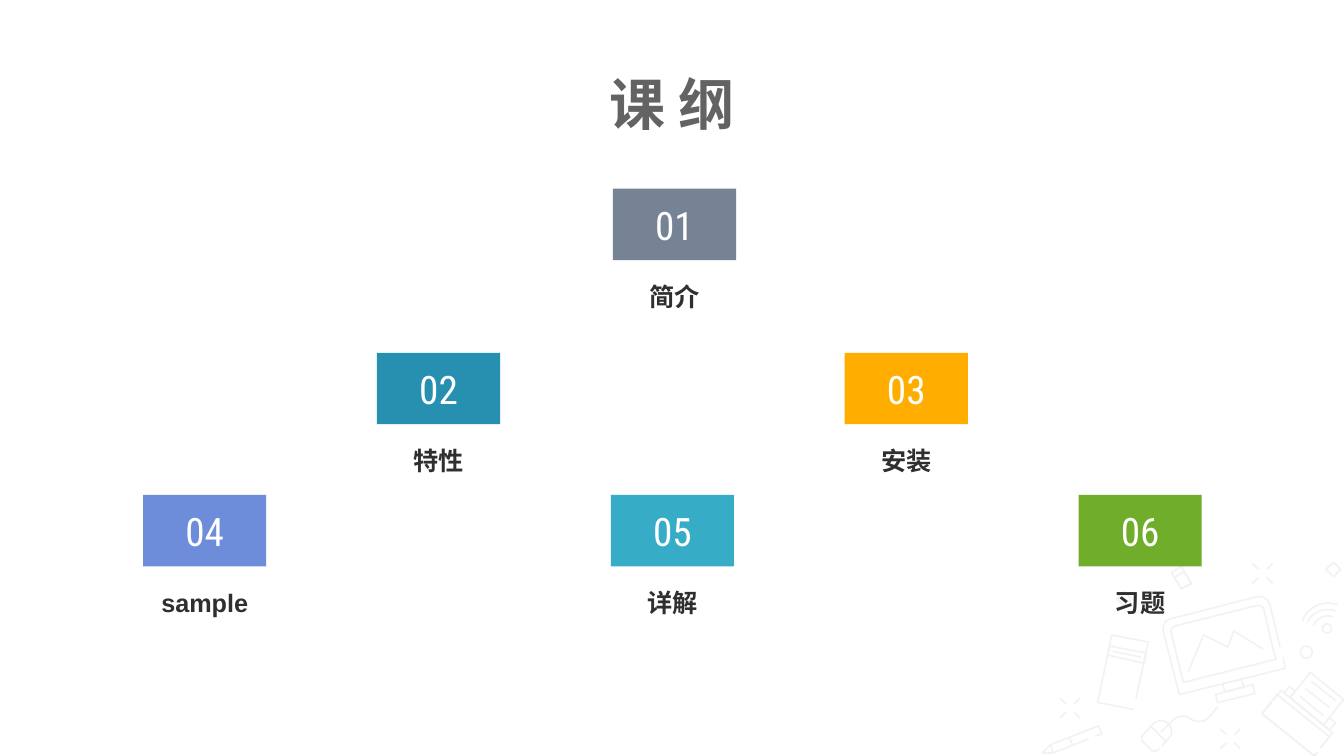
from dataclasses import dataclass

from lxml import etree
from pptx import Presentation, util as u
from pptx.dml import color
from pptx.enum import shapes, text
from pptx.oxml import ns


@dataclass(frozen=True)
class Theme:
    """Colours, fonts and sizes of the slide."""
    title: str = "636363"
    label: str = "2F2F2F"
    number: str = "FFFFFF"
    sketch: str = "F2F2F2"
    body_font: str = "Arial"
    number_font: str = "Roboto Condensed"
    title_size: float = 40
    number_size: float = 28
    label_size: float = 18
    sketch_width: float = 1.13
    sketch_unit: float = 0.72


CARD_WIDTH, CARD_HEIGHT = 88, 51
LABEL_WIDTH, LABEL_HEIGHT, LABEL_DROP = 166.3, 30.2, 61.2
TOP_ROW, MIDDLE_ROW, BOTTOM_ROW = 134.8, 252, 353.5
CARDS = [
    ("01", "简介", 437.8, TOP_ROW, "768394"),
    ("02", "特性", 269.3, MIDDLE_ROW, "278FB0"),
    ("03", "安装", 603.4, MIDDLE_ROW, "FFAE00"),
    ("04", "sample", 102.2, BOTTOM_ROW, "6D8CD9"),
    ("05", "详解", 436.3, BOTTOM_ROW, "36ACC7"),
    ("06", "习题", 770.4, BOTTOM_ROW, "70AD2B"),
]

WIFI = [
    [(1292, 616), (1297, 602, 1313, 595, 1327, 600)],
    [(1297, 618), (1301, 607, 1314, 602, 1325, 606)],
    [(1303, 621), (1306, 613, 1315, 609, 1322, 612)],
]
MOUSE = [
    [(1153, 740), (1159, 733), (1164, 729, 1163, 722, 1159, 718),
     (1155, 714, 1148, 714, 1144, 718), (1134, 729),
     (1132, 731, 1132, 735, 1135, 737), (1141, 743),
     (1143, 746, 1147, 746, 1150, 743)],
    [(1152, 726), (1163, 715), (1168, 710, 1176, 709, 1181, 713),
     (1188, 718, 1196, 716, 1201, 710), (1208, 701)],
    [(1142, 721), (1157, 736)],
]
MONITOR = [
    [(1273, 652), (1275, 663), (1170, 689), (1154, 626),
     (1153, 621, 1156, 615, 1161, 614), (1247, 592),
     (1253, 591, 1258, 594, 1260, 600), (1270, 642)],
    [(1263, 644), (1266, 654), (1174, 677), (1162, 628),
     (1161, 625, 1163, 622, 1166, 621), (1246, 601),
     (1250, 600, 1253, 602, 1254, 605), (1263, 644)],
    [(1179, 666), (1194, 630), (1218, 642), (1224, 626), (1253, 644)],
]
FOLDER = [
    [(1307, 746), (1304, 750), (1252, 708), (1271, 685), (1322, 727), (1310, 742)],
    [(1307, 746), (1304, 750), (1252, 708), (1267, 689), (1319, 731), (1311, 741)],
]
BOOK = [[(1125, 704), (1089, 697), (1103, 630), (1139, 637), (1128, 689), (1127, 693)]]
PENCIL = [
    [(1080, 733), (1045, 747), (1042, 739), (1090, 720), (1093, 728), (1087, 730)],
    [(1042, 739), (1034, 747), (1045, 747)],
]
OPEN_STROKES = WIFI + MOUSE + MONITOR + FOLDER + BOOK + PENCIL
CLOSED_STROKES = [
    [(1245, 688), (1208, 697), (1206, 689), (1243, 679)],
    [(1234, 682), (1215, 686), (1213, 678), (1232, 674)],
    [(1313, 719), (1280, 692), (1300, 667), (1333, 694)],
    [(1280, 692), (1274, 688), (1279, 681), (1285, 686)],
    [(1319, 724), (1313, 719), (1319, 712), (1325, 717)],
    [(1135, 658), (1099, 650), (1101, 641), (1137, 648)],
    [(1115, 601), (1108, 594), (1115, 587), (1123, 594)],
    [(1323, 572), (1315, 565), (1323, 558), (1330, 565)],
    [(1182, 579), (1172, 584), (1162, 568), (1172, 562)],
    [(1182, 579), (1172, 584), (1165, 573), (1175, 567)],
]
PAPER_LINES = [(1301, 676, 1325, 695), (1295, 683, 1319, 702), (1290, 691, 1313, 710)]
DETAIL_LINES = [(1104, 646, 1132, 652), (1061, 732, 1064, 739)]
CIRCLES = [(1290, 641, 12), (1312, 619, 9)]
SPARKS = [(1220.5, 733), (1061.5, 702.5), (1252.5, 569)]
SPARK_INNER, SPARK_OUTER = 4, 10


class SlideBuilder:
    """Draws styled elements on the current slide."""

    def __init__(self, slide, theme):
        """Keep the slide and its theme."""
        self.slide, self.theme = slide, theme

    def sketch(self, value):
        """Turn sketch units into a length."""
        return u.Pt(value * self.theme.sketch_unit)

    def pen(self, line):
        """Give a line the sketch style."""
        line.color.rgb = color.RGBColor.from_string(self.theme.sketch)
        line.width = u.Pt(self.theme.sketch_width)

    def add_words(self, shape, words, size, font, tint, bold, anchor):
        """Put one centred run in a shape."""
        frame = shape.text_frame
        frame.word_wrap = False
        frame.auto_size = text.MSO_AUTO_SIZE.NONE
        frame.vertical_anchor = anchor
        paragraph = frame.paragraphs[0]
        paragraph.alignment = text.PP_ALIGN.CENTER
        run = paragraph.add_run()
        run.text = words
        run.font.size, run.font.name, run.font.bold = u.Pt(size), font, bold
        run.font.color.rgb = color.RGBColor.from_string(tint)

    def title(self, words, left, top, width, height):
        """Place and fill the title."""
        shape = self.slide.shapes.title
        shape.left, shape.top = u.Pt(left), u.Pt(top)
        shape.width, shape.height = u.Pt(width), u.Pt(height)
        self.add_words(shape, words, self.theme.title_size, self.theme.body_font,
                       self.theme.title, True, text.MSO_ANCHOR.TOP)

    def card(self, number, label, left, top, fill):
        """Draw a numbered block with its label below."""
        block = self.slide.shapes.add_shape(
            shapes.MSO_SHAPE.RECTANGLE, u.Pt(left), u.Pt(top), u.Pt(CARD_WIDTH), u.Pt(CARD_HEIGHT))
        block.shadow.inherit = False
        block.fill.solid()
        block.fill.fore_color.rgb = color.RGBColor.from_string(fill)
        block.line.fill.background()
        self.add_words(block, number, self.theme.number_size, self.theme.number_font,
                       self.theme.number, False, text.MSO_ANCHOR.MIDDLE)
        caption = self.slide.shapes.add_textbox(
            u.Pt(left + (CARD_WIDTH - LABEL_WIDTH) / 2), u.Pt(top + LABEL_DROP),
            u.Pt(LABEL_WIDTH), u.Pt(LABEL_HEIGHT))
        self.add_words(caption, label, self.theme.label_size, self.theme.body_font,
                       self.theme.label, True, text.MSO_ANCHOR.BOTTOM)

    def stroke(self, segments, closed):
        """Draw an outline of straight and cubic segments."""
        points = [segments[0]]
        for segment in segments[1:]:
            if len(segment) == 2:
                points.append(segment)
                continue
            controls = [points[-1], segment[:2], segment[2:4], segment[4:]]
            for step in range(1, 9):
                t = step / 8
                weights = ((1 - t) ** 3, 3 * t * (1 - t) ** 2, 3 * t * t * (1 - t), t ** 3)
                points.append(tuple(sum(w * c[axis] for w, c in zip(weights, controls))
                                    for axis in (0, 1)))
        start, *rest = [(self.sketch(x), self.sketch(y)) for x, y in points]
        builder = self.slide.shapes.build_freeform(*start)
        builder.add_line_segments(rest, close=closed)
        shape = builder.convert_to_shape()
        shape.shadow.inherit = False
        shape.fill.background()
        self.pen(shape.line)

    def line(self, *ends):
        """Draw a straight sketch line."""
        connector = self.slide.shapes.add_connector(
            shapes.MSO_CONNECTOR.STRAIGHT, *map(self.sketch, ends))
        self.pen(connector.line)
        etree.SubElement(connector._element.spPr, ns.qn("a:effectLst"))

    def circle(self, left, top, size):
        """Draw an empty sketch circle."""
        shape = self.slide.shapes.add_shape(
            shapes.MSO_SHAPE.OVAL, *map(self.sketch, (left, top, size, size)))
        shape.shadow.inherit = False
        shape.fill.background()
        self.pen(shape.line)

    def spark(self, x, y):
        """Draw four short rays around a point."""
        for across in (-1, 1):
            for down in (-1, 1):
                self.line(x + across * SPARK_OUTER, y + down * SPARK_OUTER,
                          x + across * SPARK_INNER, y + down * SPARK_INNER)


def main():
    """Build and save the outline slide."""
    presentation = Presentation()
    presentation.slide_width, presentation.slide_height = u.Pt(960), u.Pt(540)
    slide = presentation.slides.add_slide(presentation.slide_layouts[5])
    builder = SlideBuilder(slide, Theme())
    for segments in OPEN_STROKES:
        builder.stroke(segments, False)
    for segments in CLOSED_STROKES:
        builder.stroke(segments, True)
    for ends in PAPER_LINES + DETAIL_LINES:
        builder.line(*ends)
    for circle in CIRCLES:
        builder.circle(*circle)
    for centre in SPARKS:
        builder.spark(*centre)
    builder.title("课 纲", 357.1, 46.1, 245.5, 56.2)
    for card in CARDS:
        builder.card(*card)
    presentation.save("out.pptx")


if __name__ == "__main__":
    main()
